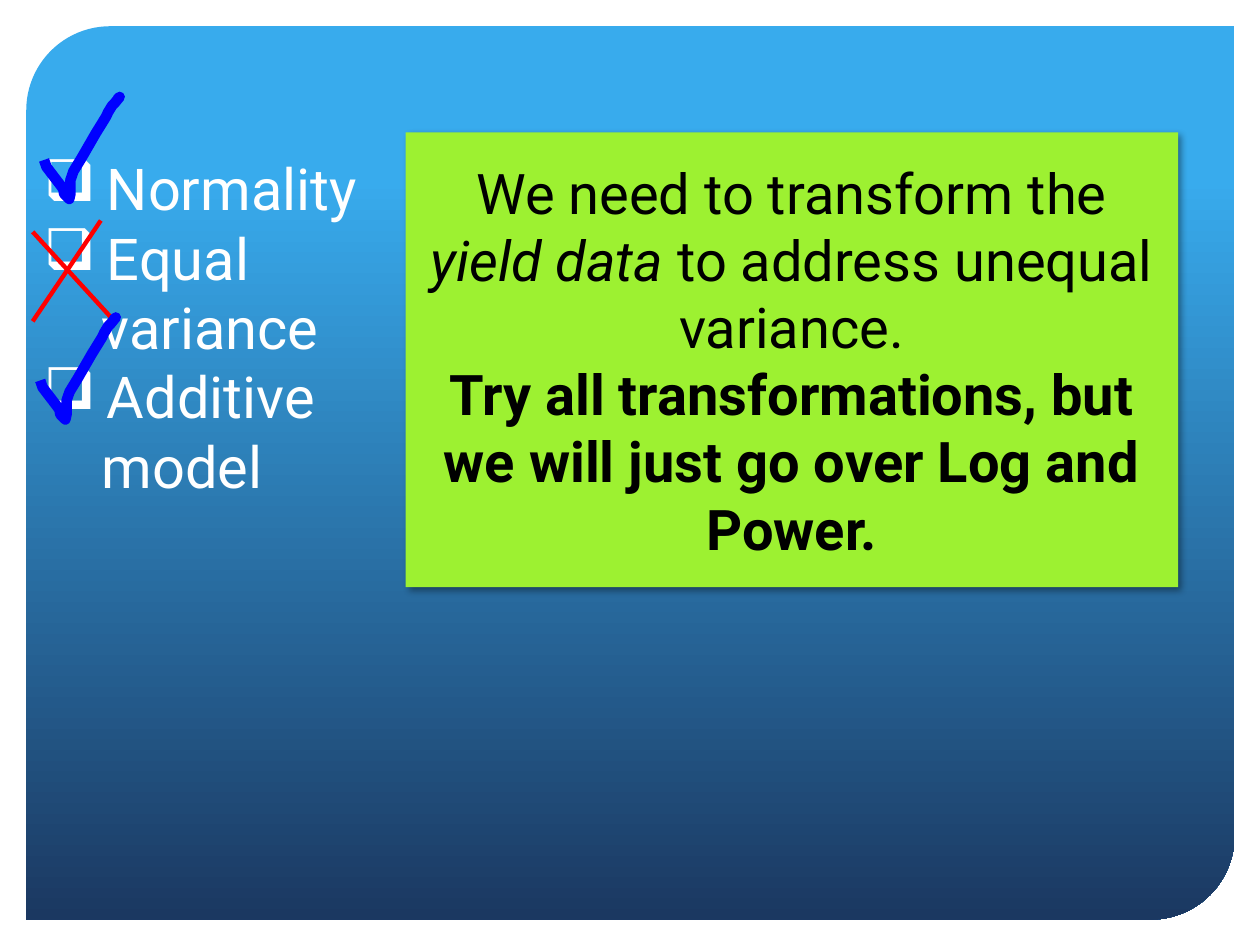
from lxml import etree
from pptx import Presentation
from pptx import util as u
from pptx.dml.color import RGBColor
from pptx.enum import shapes, text
from pptx.oxml.ns import qn

Pt = u.Pt
FONT = "Roboto"
WHITE = RGBColor(0xFF, 0xFF, 0xFF)
BLACK = RGBColor(0, 0, 0)
SKY = RGBColor(0x38, 0xAB, 0xED)
NAVY = RGBColor(0x1B, 0x38, 0x61)
LIME = RGBColor(0x9D, 0xF1, 0x31)
BLUE = RGBColor(0, 0, 0xFF)
RED = RGBColor(0xFF, 0, 0)

TICK = [(0, 36), (1.4, 40), (11, 52.6), (11.5, 55.4), (13, 56.9), (14.4, 58.3),
        (15.1, 55.4), (15.1, 47.5), (16.8, 42.5), (21.6, 34.6), (29.5, 20.9),
        (33.1, 15.1), (35.3, 11.5), (36.7, 8.6), (38.9, 5), (40.3, 3.6),
        (43.2, 0), (41.8, 1.4)]


def add_text(p, content, size=32, color=BLACK, bold=False, italic=False):
    r = p.add_run()
    r.text = content
    r.font.name = FONT
    r.font.size = Pt(size)
    r.font.color.rgb = color
    r.font.bold = bold
    r.font.italic = italic
    return r


def next_paragraph(tf, index):
    return tf.paragraphs[0] if index == 0 else tf.add_paragraph()


class Deck:
    def __init__(self, width, height):
        self.prs = Presentation()
        self.prs.slide_width, self.prs.slide_height = Pt(width), Pt(height)
        self.s = self.prs.slides.add_slide(self.prs.slide_layouts[6])

    def shape(self, kind, *box):
        sp = self.s.shapes.add_shape(kind, *map(Pt, box))
        sp.shadow.inherit = False
        sp.line.fill.background()
        return sp

    def backdrop(self, *box):
        sp = self.shape(shapes.MSO_SHAPE.ROUND_2_DIAG_RECTANGLE, *box)
        sp.adjustments[0], sp.adjustments[1] = 0.094, 0
        sp.fill.gradient()
        sp.fill.gradient_angle = 270
        for stop, (pos, color) in zip(sp.fill.gradient_stops, [(0.17, SKY), (1, NAVY)]):
            stop.position = pos
            stop.color.rgb = color

    def checklist(self, items, *box):
        tf = self.s.shapes.add_textbox(*map(Pt, box)).text_frame
        tf.word_wrap = True
        tf.auto_size = text.MSO_AUTO_SIZE.SHAPE_TO_FIT_TEXT
        for i, (content, bulleted) in enumerate(items):
            p = next_paragraph(tf, i)
            pPr = p._p.get_or_add_pPr()
            margin = 36 if bulleted else 33
            pPr.set("marL", str(Pt(margin)))
            pPr.set("indent", str(Pt(-margin if bulleted else 0)))
            if bulleted:
                etree.SubElement(pPr, qn("a:buChar")).set("char", "❑")
            add_text(p, content, size=33, color=WHITE)

    def note(self, paragraphs, *box):
        sp = self.shape(shapes.MSO_SHAPE.RECTANGLE, *box)
        sp.fill.solid()
        sp.fill.fore_color.rgb = LIME
        effects = sp._element.spPr.find(qn("a:effectLst"))
        shadow = etree.SubElement(effects, qn("a:outerShdw"), blurRad=str(Pt(4)),
                                  dist=str(Pt(3)), dir="2700000", algn="tl", rotWithShape="0")
        color = etree.SubElement(shadow, qn("a:srgbClr"), val=str(BLACK))
        etree.SubElement(color, qn("a:alpha"), val="40000")
        tf = sp.text_frame
        tf.word_wrap = True
        tf.vertical_anchor = text.MSO_ANCHOR.MIDDLE
        for i, runs in enumerate(paragraphs):
            p = next_paragraph(tf, i)
            p.alignment = text.PP_ALIGN.CENTER
            for content, style in runs:
                add_text(p, content, **style)

    def tick(self, left, top):
        points = [(Pt(left + x), Pt(top + y)) for x, y in TICK]
        builder = self.s.shapes.build_freeform(*points[0])
        builder.add_line_segments(points[1:], close=False)
        sp = builder.convert_to_shape()
        sp.shadow.inherit = False
        sp.fill.background()
        sp.line.color.rgb = BLUE
        sp.line.width = Pt(6)
        etree.SubElement(sp.line._get_or_add_ln(), qn("a:round"))

    def stroke(self, *ends):
        c = self.s.shapes.add_connector(shapes.MSO_CONNECTOR.STRAIGHT, *map(Pt, ends))
        c.line.color.rgb = RED
        c.line.width = Pt(2.5)
        etree.SubElement(c._element.spPr, qn("a:effectLst"))


def main():
    deck = Deck(720, 540)
    deck.backdrop(15, 15, 690.5, 510.5)
    deck.checklist([("Normality", True), ("Equal", True), ("variance", False),
                    ("Additive", True), ("model", False)], 18, 84, 201, 201)
    deck.tick(25.2, 55.4)
    deck.stroke(18.7, 132.5, 65.5, 183.6)
    deck.stroke(57.6, 126, 18.7, 183.6)
    deck.note([
        [("We need to transform the ", {}), ("yield data ", {"italic": True}),
         ("to address unequal variance.", {})],
        [("Try all transformations, but we will just go over Log and Power.", {"bold": True})],
    ], 231.8, 75.6, 441.4, 259.9)
    deck.tick(23, 181.4)
    deck.prs.save("out.pptx")


if __name__ == "__main__":
    main()
